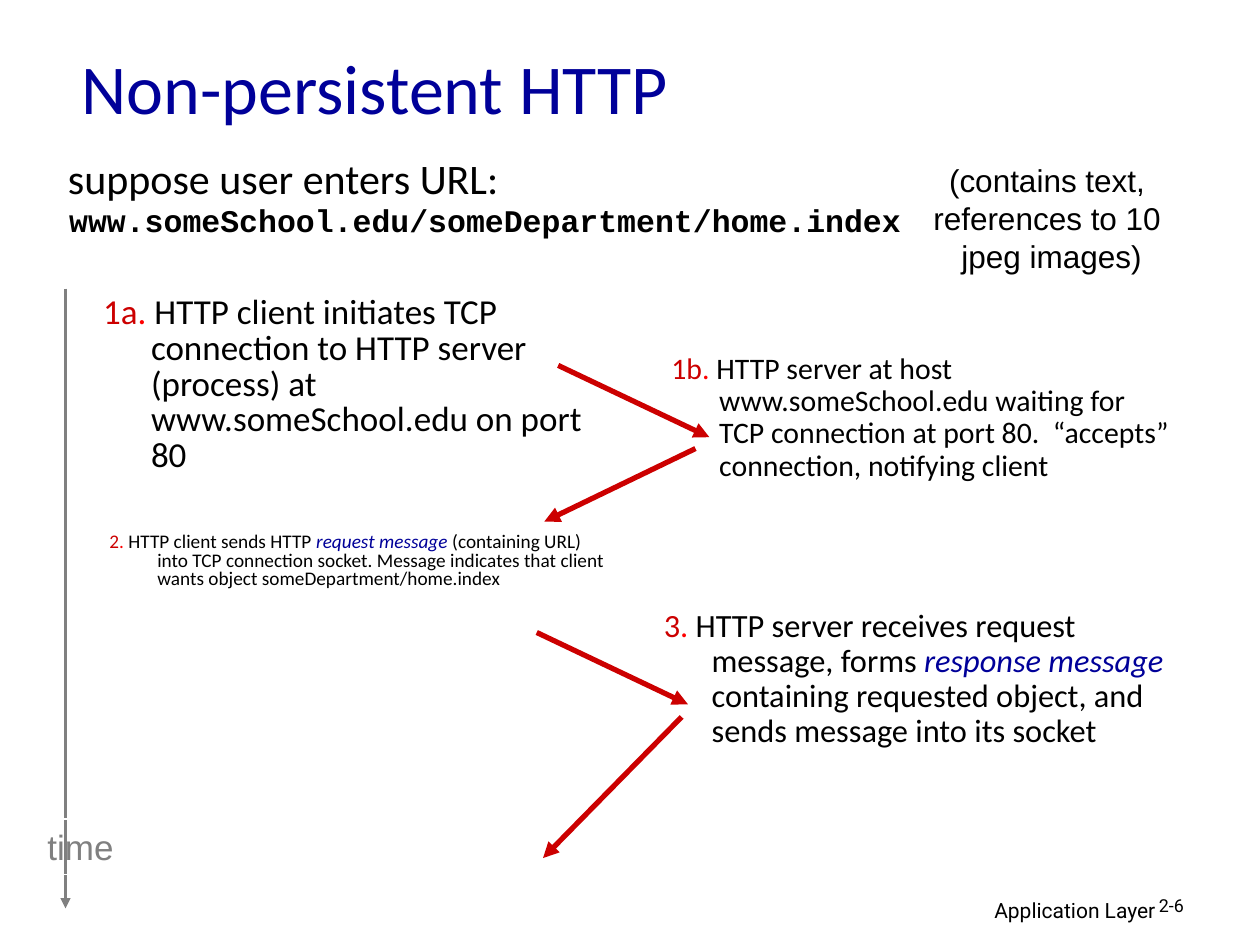
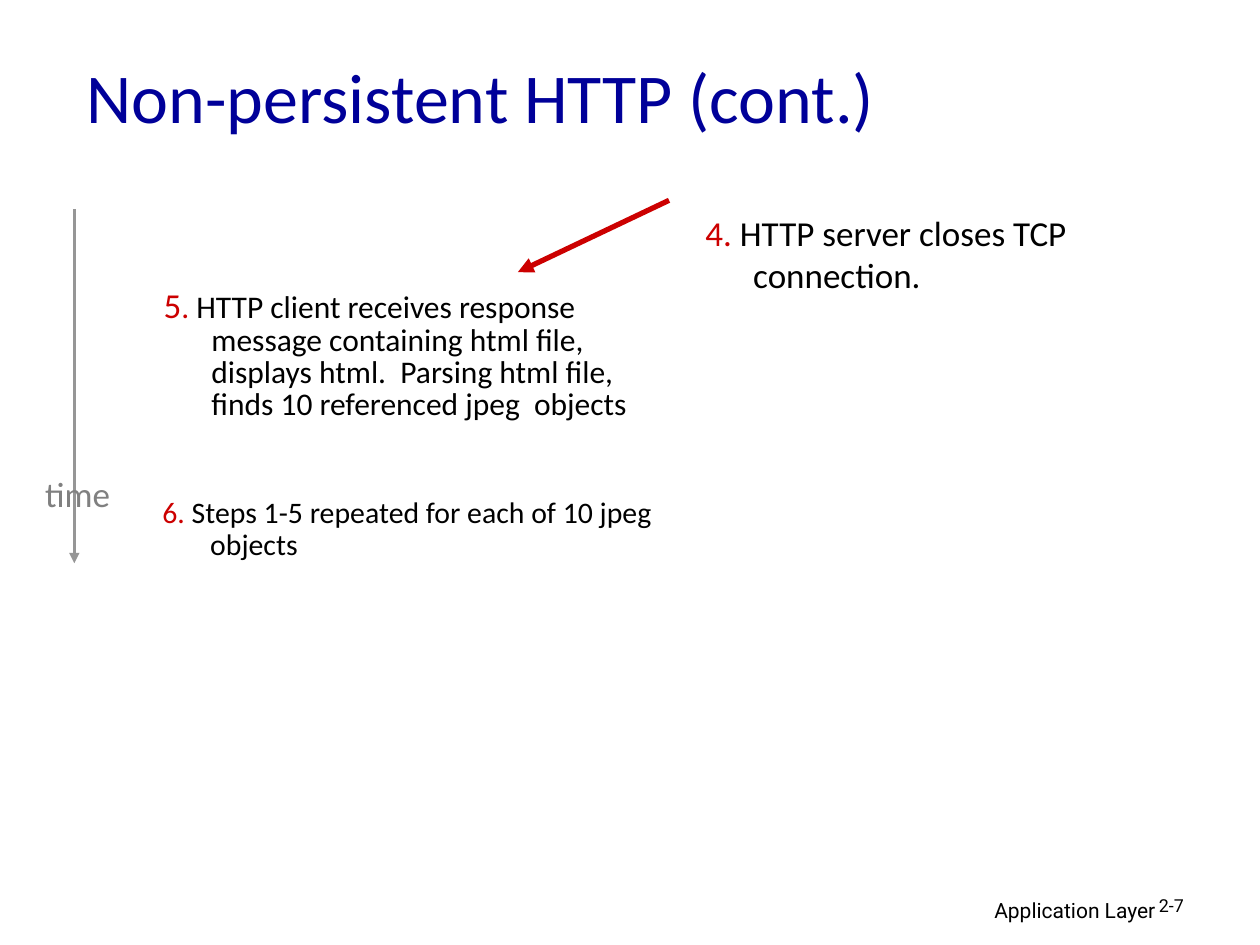
from lxml import etree
from pptx import Presentation
from pptx.dml.color import RGBColor
from pptx.enum.shapes import MSO_CONNECTOR
from pptx.enum.text import MSO_ANCHOR, MSO_AUTO_SIZE, PP_ALIGN
from pptx.oxml.ns import qn
from pptx.util import Inches, Pt

BLACK = RGBColor(0x00, 0x00, 0x00)
WHITE = RGBColor(0xFF, 0xFF, 0xFF)
NAVY = RGBColor(0x00, 0x00, 0x99)
RED = RGBColor(0xCC, 0x00, 0x00)
BRIGHT_RED = RGBColor(0xFF, 0x00, 0x00)
GRAY = RGBColor(0x80, 0x80, 0x80)
LIGHT_GRAY = RGBColor(0x96, 0x96, 0x96)
HANGING = Inches(0.38)


def add_text(slide, box, lines, size, font="Calibri", color=BLACK, align=None,
             spacing=None, before=0, hanging=False, wrap=True):
    """Add a text box; a line is a string or a list of (text, colour) runs."""
    sp = slide.shapes.add_textbox(*map(Inches, box))
    tf = sp.text_frame
    tf.word_wrap = wrap
    if not wrap:
        tf.auto_size = MSO_AUTO_SIZE.SHAPE_TO_FIT_TEXT
    for i, line in enumerate(lines):
        p = tf.add_paragraph() if i else tf.paragraphs[0]
        p.alignment, p.line_spacing, p.space_before = align, spacing, Pt(before)
        if hanging:
            pPr = p._p.get_or_add_pPr()
            pPr.set("marL", str(HANGING))
            pPr.set("indent", str(-HANGING))
        for text, run_color in [(line, color)] if isinstance(line, str) else line:
            r = p.add_run()
            r.text = text
            r.font.name, r.font.size = font, Pt(size)
            r.font.color.rgb = run_color
    return sp


def add_arrow(slide, start, end, color=RED, width=3):
    line = slide.shapes.add_connector(MSO_CONNECTOR.STRAIGHT, *map(Inches, start + end))
    line.line.color.rgb = color
    line.line.width = Pt(width)
    etree.SubElement(line.line._get_or_add_ln(), qn("a:tailEnd"), type="triangle")
    etree.SubElement(line._element.spPr, qn("a:effectLst"))


prs = Presentation()
prs.slide_width, prs.slide_height = Inches(10), Inches(7.5)

# Shared title and footer
slides = []
for number, title, left, top in [
    ("2-6", "Non-persistent HTTP", 0.55, 0.21),
    ("2-7", "Non-persistent HTTP (cont.)", 0.59, 0.28),
]:
    s = prs.slides.add_slide(prs.slide_layouts[6])
    add_text(s, (6.1, 7.07, 3.17, 0.31), ["Application Layer"], 12, "Roboto",
             align=PP_ALIGN.RIGHT)
    add_text(s, (9.1, 7.07, 0.74, 0.3), [number], 10.2, "Roboto", spacing=0.9)
    sp = add_text(s, (left, top, 8.5, 0.95), [title], 40, color=NAVY)
    sp.text_frame.vertical_anchor = MSO_ANCHOR.MIDDLE
    slides.append(s)
request, closing = slides

# Time axes
add_arrow(request, (0.52, 2.29), (0.52, 7.21), GRAY, 1.5)
add_arrow(closing, (0.59, 1.66), (0.59, 4.47), LIGHT_GRAY, 1.5)
for s, box, font in [(request, (0.26, 6.5, 0.76, 0.44), "Arial"),
                     (closing, (0.22, 3.7, 0.79, 0.44), "Calibri")]:
    sp = add_text(s, box, ["time"], 20, font, GRAY, PP_ALIGN.CENTER, wrap=False)
    if s is request:
        sp.line.color.rgb = WHITE
        sp.line.width = Pt(0.75)

# URL and its remark
add_text(request, (0.44, 1.22, 8.69, 0.51), ["suppose user enters URL:"], 24,
         spacing=0.85, before=6, hanging=True)
sp = add_text(request, (0.45, 1.59, 8.69, 0.51),
              ["www.someSchool.edu/someDepartment/home.index"], 18, "Courier New",
              spacing=0.85, hanging=True)
sp.text_frame.paragraphs[0].runs[0].font.bold = True
add_text(request, (7.29, 1.23, 2.11, 1),
         ["(contains text, ", "references to 10 ", "jpeg images)"], 18, "Arial",
         align=PP_ALIGN.CENTER, wrap=False)

# Numbered steps: slide, box, size, line spacing, space before, runs
steps = [
    (request, (0.72, 2.3, 4.31, 2.08), 20, 0.85, 5, [
        ("1a", RED), (".", BRIGHT_RED),
        (" HTTP client initiates TCP connection to HTTP server (process) at "
         "www.someSchool.edu on port 80", BLACK)]),
    (request, (5.23, 2.76, 4.17, 1.65), 17, 0.9, 0, [
        ("1b", RED), (".", BRIGHT_RED),
        (" HTTP server at host www.someSchool.edu waiting for TCP connection at "
         "port 80.  “accepts” connection, notifying client", BLACK)]),
    (request, (0.77, 4.19, 4.17, 1.18), 11, 0.8, 0, [
        ("2", RED), (".", BRIGHT_RED), (" HTTP client sends HTTP ", BLACK),
        ("request message", NAVY),
        (" (containing URL) into TCP connection socket. Message indicates that "
         "client wants object someDepartment/home.index", BLACK)]),
    (request, (5.17, 4.79, 4.17, 1.97), 18.5, 0.9, 0, [
        ("3", RED), (".", BRIGHT_RED),
        (" HTTP server receives request message, forms ", BLACK),
        ("response message", NAVY),
        (" containing requested object, and sends message into its socket", BLACK)]),
    (closing, (5.5, 1.63, 4.17, 0.8), 20, None, 0, [
        ("4.", RED), (" HTTP server closes TCP connection.", BLACK)]),
    (closing, (1.2, 2.25, 4.17, 1.68), 18, 0.85, 4.5, [
        ("5", RED), (".", RED),
        (" HTTP client receives response message containing html file, displays "
         "html.  Parsing html file, finds 10 referenced jpeg  objects", BLACK)]),
    (closing, (1.19, 3.9, 4.17, 0.73), 17, 0.9, 0, [
        ("6.", RED), (" Steps 1-5 repeated for each of 10 jpeg objects", BLACK)]),
]
for s, box, size, spacing, before, runs in steps:
    sp = add_text(s, box, [runs], size, spacing=spacing, before=before, hanging=True)
    for r, (text, color) in zip(sp.text_frame.paragraphs[0].runs, runs):
        if color == NAVY:
            r.font.italic = True
        if text == "5":
            r.font.size = Pt(20)

# Messages between client and server
for s, start, end in [
    (request, (4.43, 2.9), (5.63, 3.47)),
    (request, (5.52, 3.56), (4.32, 4.14)),
    (request, (4.26, 5.02), (5.46, 5.59)),
    (request, (5.41, 5.69), (4.31, 6.81)),
    (closing, (5.31, 1.59), (4.11, 2.16)),
]:
    add_arrow(s, start, end)

prs.save("out.pptx")
